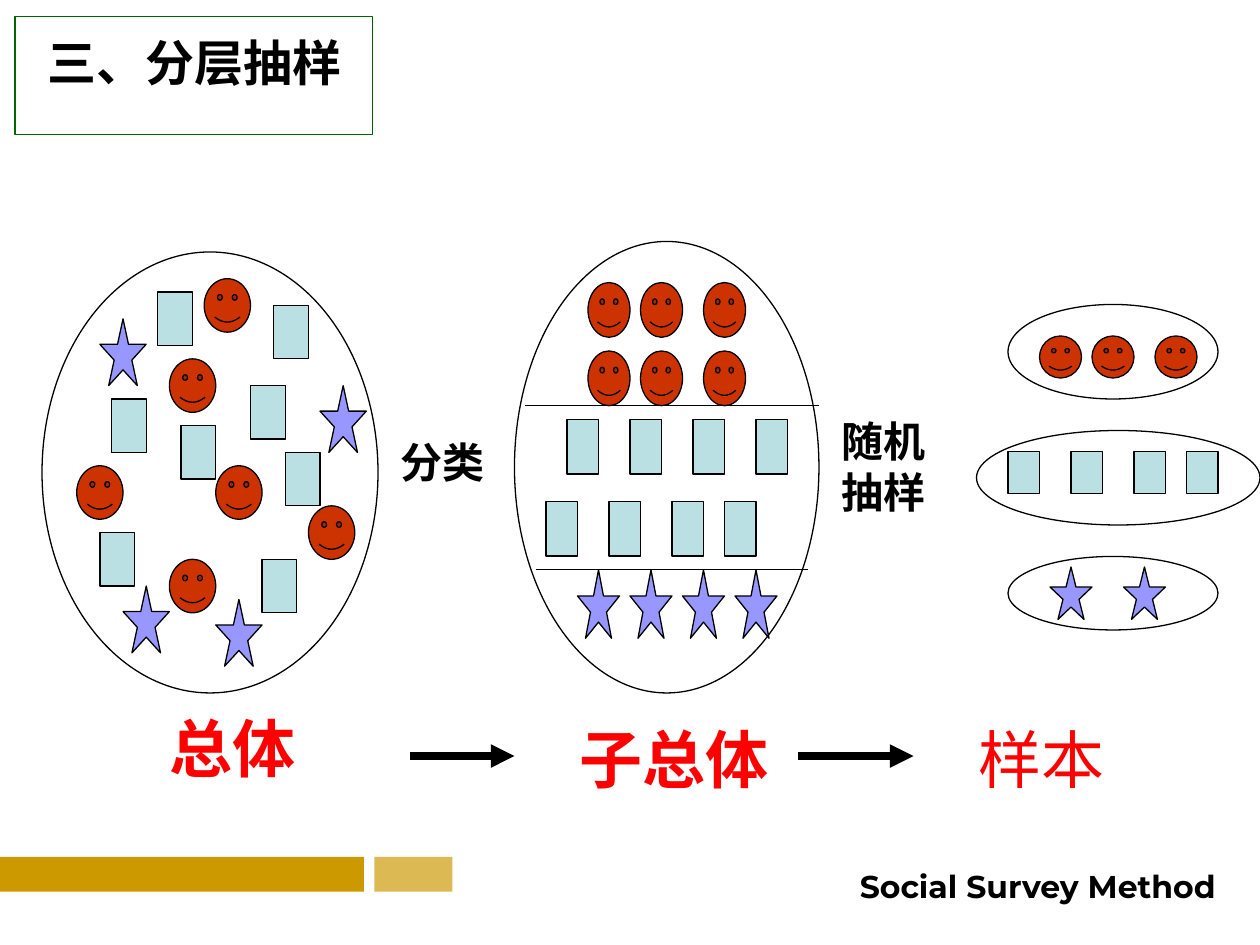
import dataclasses

import lxml.etree
import pptx
import pptx.dml.color
import pptx.enum.shapes
import pptx.enum.text
import pptx.oxml.ns
import pptx.util

Pt = pptx.util.Pt
Shape = pptx.enum.shapes.MSO_SHAPE
Align = pptx.enum.text.PP_ALIGN


@dataclasses.dataclass(frozen=True)
class Theme:
    ink: str = "000000"
    red: str = "FF0000"
    green: str = "006600"
    gold: str = "CC9900"
    face: str = "CC3300"
    card: str = "BBE0E3"
    star: str = "9797FF"
    title_font: str = "Arial"
    body_font: str = "Times New Roman"
    footer_font: str = "Montserrat"
    title_size: float = 28
    step_size: float = 24
    label_size: float = 36
    footer_size: float = 18
    thin: float = 0.75
    thick: float = 4.5


@dataclasses.dataclass(frozen=True)
class Grid:
    left: float
    top: float
    cell_width: float
    cell_height: float

    def point(self, column, row):
        return self.left + column * self.cell_width, self.top + row * self.cell_height

    def area(self, column, row, columns, rows):
        return (*self.point(column, row), columns * self.cell_width, rows * self.cell_height)


class SlideBuilder:
    def __init__(self, slide, theme):
        self.slide = slide
        self.theme = theme
        # Preset, fill, and size in grid cells of each symbol
        self.symbols = {
            "face": (Shape.SMILEY_FACE, theme.face, 4, 4),
            "card": (Shape.RECTANGLE, theme.card, 3, 4),
            "star": (Shape.STAR_5_POINT, theme.star, 4, 5),
        }

    def color(self, value):
        return pptx.dml.color.RGBColor.from_string(value)

    def shape(self, preset, area, fill=None, line=None, opacity=None):
        shape = self.slide.shapes.add_shape(preset, *map(Pt, area))
        shape.shadow.inherit = False
        if fill:
            shape.fill.solid()
            shape.fill.fore_color.rgb = self.color(fill)
        else:
            shape.fill.background()
        if opacity:
            fill_color = shape._element.spPr.find(".//" + pptx.oxml.ns.qn("a:srgbClr"))
            alpha = lxml.etree.SubElement(fill_color, pptx.oxml.ns.qn("a:alpha"))
            alpha.set("val", str(opacity * 1000))
        if line:
            shape.line.color.rgb = self.color(line)
            shape.line.width = Pt(self.theme.thin)
        else:
            shape.line.fill.background()

    def ellipse(self, grid, *cells):
        self.shape(Shape.OVAL, grid.area(*cells), line=self.theme.ink)

    def symbol(self, grid, kind, places):
        preset, fill, columns, rows = self.symbols[kind]
        for column, row in places:
            self.shape(preset, grid.area(column, row, columns, rows), fill, self.theme.ink)

    def line(self, start, end, width, arrow=False):
        connector = self.slide.shapes.add_connector(
            pptx.enum.shapes.MSO_CONNECTOR.STRAIGHT, *map(Pt, (*start, *end)))
        connector.line.color.rgb = self.color(self.theme.ink)
        connector.line.width = Pt(width)
        properties = connector._element.spPr
        if arrow:
            outline = properties.find(pptx.oxml.ns.qn("a:ln"))
            tail = lxml.etree.SubElement(outline, pptx.oxml.ns.qn("a:tailEnd"))
            tail.set("type", "triangle")
        lxml.etree.SubElement(properties, pptx.oxml.ns.qn("a:effectLst"))

    def set_text(self, box, words, font, size, color, bold=True, align=Align.LEFT, wrap=True):
        frame = box.text_frame
        frame.word_wrap = wrap
        frame.auto_size = pptx.enum.text.MSO_AUTO_SIZE.NONE
        frame.vertical_anchor = pptx.enum.text.MSO_ANCHOR.TOP
        para = frame.paragraphs[0]
        para.text = words
        para.alignment = align
        para.font.name = font
        para.font.size = Pt(size)
        para.font.bold = bold
        para.font.color.rgb = self.color(color)

    def title(self, words, area):
        box = self.slide.shapes.title
        box.left, box.top, box.width, box.height = map(Pt, area)
        self.set_text(box, words, self.theme.title_font, self.theme.title_size, self.theme.ink)

    def text(self, words, area, *style, **options):
        box = self.slide.shapes.add_textbox(*map(Pt, area))
        self.set_text(box, words, *style, **options)


def main():
    deck = pptx.Presentation()
    deck.slide_width, deck.slide_height = Pt(720), Pt(540)
    theme = Theme()
    page = SlideBuilder(deck.slides.add_slide(deck.slide_layouts[5]), theme)

    # Footer bars and course name
    page.shape(Shape.RECTANGLE, (0, 489.6, 208, 20), theme.gold)
    page.shape(Shape.RECTANGLE, (214, 489.6, 44.6, 20), theme.gold, opacity=68)
    page.text("Social Survey Method", (473, 491.8, 240, 24), theme.footer_font,
              theme.footer_size, theme.ink, align=Align.CENTER, wrap=False)

    # Framed title
    page.title("三、分层抽样", (20.2, 15.1, 368.6, 41))
    page.shape(Shape.RECTANGLE, (8.6, 9.4, 204.5, 67.7), line=theme.green)

    # Mixed population
    population = Grid(24, 144, 192 / 29, 252 / 33)
    page.ellipse(population, 0, 0, 29, 33)
    page.symbol(population, "card", [(10, 3), (20, 4), (18, 10), (6, 11),
                                     (12, 13), (21, 15), (5, 21), (19, 23)])
    page.symbol(population, "face", [(14, 2), (11, 8), (3, 16), (15, 16), (23, 19), (11, 23)])
    page.symbol(population, "star", [(5, 5), (24, 10), (7, 25), (15, 26)])

    # Subpopulations, sorted into strata
    strata = Grid(294, 138, 6, 258 / 33)
    page.ellipse(strata, 0, 0, 29, 33)
    for kind, row, columns in [
        ("face", 3, (7, 12, 18)),
        ("face", 8, (7, 12, 18)),
        ("card", 13, (5, 11, 17, 23)),
        ("card", 19, (3, 9, 15, 20)),
        ("star", 24, (6, 11, 16, 21)),
    ]:
        page.symbol(strata, kind, [(column, row) for column in columns])
    for row, first, last in [(12, 1, 29), (24, 2, 28)]:
        page.line(strata.point(first, row), strata.point(last, row), theme.thin)

    # Samples drawn from each stratum
    samples = Grid(558, 174, 6, 6)
    for outline, kind, row, columns in [
        ((3, 0, 20, 9), "face", 3, (6, 11, 17)),
        ((0, 12, 27, 9), "card", 14, (3, 9, 15, 20)),
        ((3, 24, 20, 7), "star", 25, (7, 14)),
    ]:
        page.ellipse(samples, *outline)
        page.symbol(samples, kind, [(column, row) for column in columns])

    # Step names and arrows
    for words, area in [("分类", (222, 246, 66, 36)), ("随机抽样", (474, 234, 66, 65))]:
        page.text(words, area, theme.body_font, theme.step_size, theme.ink)
    for start, end in [(234, 294), (456, 522)]:
        page.line((start, 432), (end, 432), theme.thick, arrow=True)

    # Stage labels
    for words, left, top, width, bold in [
        ("总体", 90, 402, 90, True),
        ("子总体", 324, 408, 132, True),
        ("样本", 552, 408, 108, False),
    ]:
        page.text(words, (left, top, width, 50.4), theme.body_font,
                  theme.label_size, theme.red, bold=bold)

    deck.save("out.pptx")


if __name__ == "__main__":
    main()
